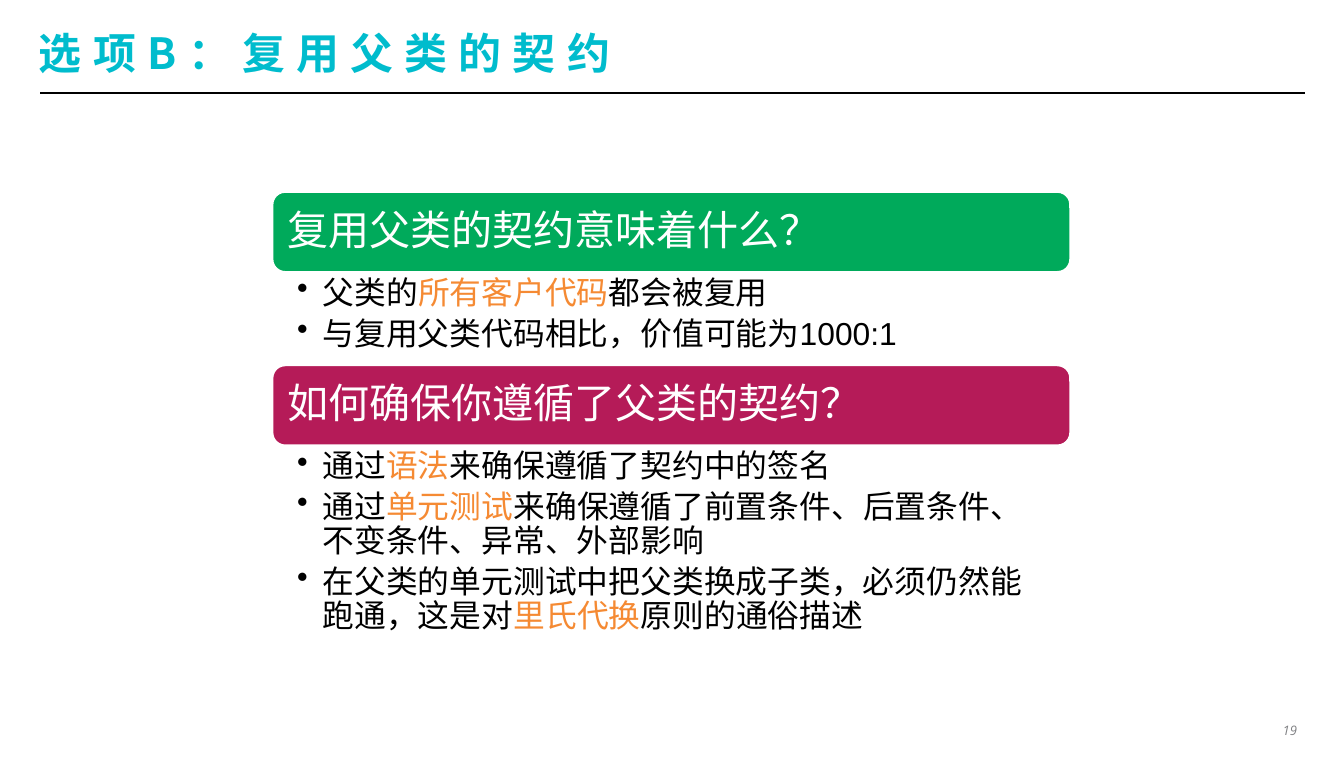
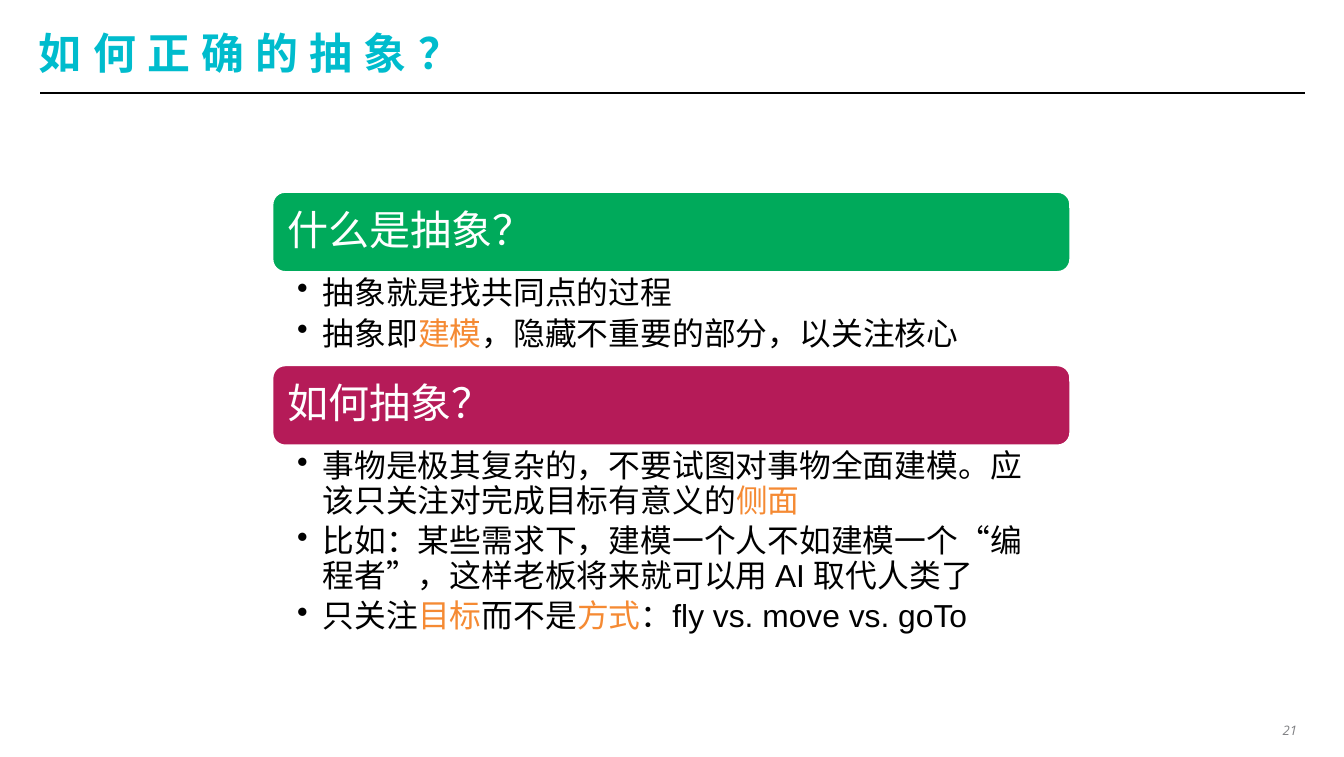
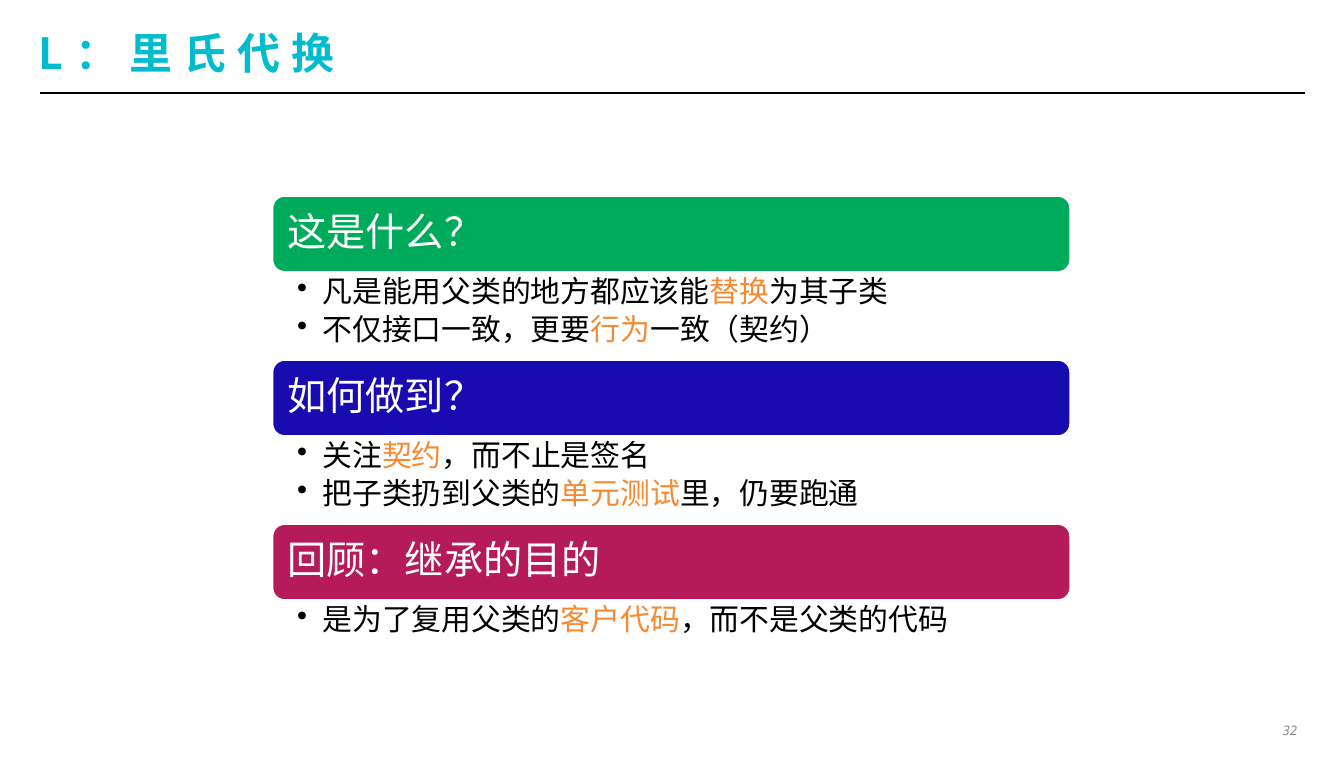
from dataclasses import dataclass

from lxml.etree import SubElement
from pptx import Presentation
from pptx.dml.color import RGBColor
from pptx.enum.shapes import MSO_CONNECTOR, MSO_SHAPE
from pptx.enum.text import MSO_ANCHOR, PP_ALIGN
from pptx.oxml.ns import qn
from pptx.util import Inches, Pt

# Shared look
TITLE_COLOR, TEXT, ACCENT = "00BCCD", "000000", "F58A33"
WHITE, GREY = "FFFFFF", "808184"
GREEN, BLUE, CRIMSON = "00AA5B", "180CB1", "B51B58"
TITLE_FONT, BODY_FONT, NUMBER_FONT = "Noto Sans CJK JP", "Arial", "Open Sans"
COLUMN_LEFT, COLUMN_WIDTH = 2.02, 5.95
LINE_SPACING = 0.9


@dataclass
class Section:
    heading: str
    color: str
    body_height: float
    bullets: list[str]  # *asterisks* enclose accented words


@dataclass
class Style:
    top: float
    band_height: float
    heading_size: int
    bullet_size: int


@dataclass
class Page:
    title: str
    number: int
    style: Style
    sections: list[Section]


TWO_SECTIONS = Style(1.42, 0.61, 22, 17)
THREE_SECTIONS = Style(1.45, 0.58, 21, 16)

PAGES = [
    Page("选项B：复用父类的契约", 19, TWO_SECTIONS, [
        Section("复用父类的契约意味着什么？", GREEN, 0.68, [
            "父类的*所有客户代码*都会被复用",
            "与复用父类代码相比，价值可能为1000:1",
        ]),
        Section("如何确保你遵循了父类的契约？", CRIMSON, 1.57, [
            "通过*语法*来确保遵循了契约中的签名",
            "通过*单元测试*来确保遵循了前置条件、后置条件、不变条件、异常、外部影响",
            "在父类的单元测试中把父类换成子类，必须仍然能跑通，这是对*里氏代换*原则的通俗描述",
        ]),
    ]),
    Page("如何正确的抽象？", 21, TWO_SECTIONS, [
        Section("什么是抽象？", GREEN, 0.68, [
            "抽象就是找共同点的过程",
            "抽象即*建模*，隐藏不重要的部分，以关注核心",
        ]),
        Section("如何抽象？", CRIMSON, 1.57, [
            "事物是极其复杂的，不要试图对事物全面建模。应该只关注对完成目标有意义的*侧面*",
            "比如：某些需求下，建模一个人不如建模一个“编程者”，这样老板将来就可以用 AI 取代人类了",
            "只关注*目标*而不是*方式*：fly vs. move vs. goTo",
        ]),
    ]),
    Page("L：里氏代换", 32, THREE_SECTIONS, [
        Section("这是什么？", GREEN, 0.64, [
            "凡是能用父类的地方都应该能*替换*为其子类",
            "不仅接口一致，更要*行为*一致（契约）",
        ]),
        Section("如何做到？", BLUE, 0.64, [
            "关注*契约*，而不止是签名",
            "把子类扔到父类的*单元测试*里，仍要跑通",
        ]),
        Section("回顾：继承的目的", CRIMSON, 0.38, [
            "是为了复用父类的*客户代码*，而不是父类的代码",
        ]),
    ]),
]


def rgb(value: str) -> RGBColor:
    return RGBColor.from_string(value)


def format_span(span, size: int, color: str, name: str = BODY_FONT) -> None:
    span.font.size = Pt(size)
    span.font.name = name
    span.font.color.rgb = rgb(color)
    span._r.get_or_add_rPr().set("lang", "zh-CN")


def set_frame(frame, left: float, top: float, right: float, bottom: float,
              anchor=MSO_ANCHOR.TOP, wrap: bool = True) -> None:
    frame.margin_left, frame.margin_top = Inches(left), Inches(top)
    frame.margin_right, frame.margin_bottom = Inches(right), Inches(bottom)
    frame.vertical_anchor = anchor
    frame.word_wrap = wrap


def add_title(slide, text: str) -> None:
    title = slide.shapes.title
    title.left, title.top = Inches(0.29), Inches(0.18)
    title.width, title.height = Inches(9.41), Inches(0.42)
    title.text_frame.text = text
    set_frame(title.text_frame, 0, 0, 0, 0, MSO_ANCHOR.MIDDLE)
    para = title.text_frame.paragraphs[0]
    para.alignment = PP_ALIGN.LEFT
    span = para.runs[0]
    format_span(span, 23, TITLE_COLOR, TITLE_FONT)
    span.font.bold = True
    properties = span._r.get_or_add_rPr()
    properties.set("spc", "600")
    SubElement(properties, qn("a:ea")).set("typeface", TITLE_FONT)


def add_title_rule(slide) -> None:
    rule = slide.shapes.add_connector(
        MSO_CONNECTOR.STRAIGHT, Inches(0.3), Inches(0.69), Inches(9.71), Inches(0.69))
    rule.line.color.rgb = rgb(TEXT)
    rule.line.width = Pt(1)
    SubElement(rule._element.spPr, qn("a:effectLst"))


def add_page_number(slide, number: int) -> None:
    box = slide.shapes.add_textbox(Inches(9.5), Inches(5.34), Inches(0.21), Inches(0.17))
    box.text_frame.text = str(number)
    # No left inset, so that two digits fit on one line
    set_frame(box.text_frame, 0, 0.03, 0.06, 0.03, wrap=False)
    para = box.text_frame.paragraphs[0]
    para.alignment = PP_ALIGN.RIGHT
    format_span(para.runs[0], 7, GREY, NUMBER_FONT)
    para.runs[0].font.italic = True


def add_band(slide, section: Section, top: float, style: Style) -> None:
    band = slide.shapes.add_shape(
        MSO_SHAPE.ROUNDED_RECTANGLE, Inches(COLUMN_LEFT), Inches(top),
        Inches(COLUMN_WIDTH), Inches(style.band_height))
    band.shadow.inherit = False
    band.fill.solid()
    band.fill.fore_color.rgb = rgb(section.color)
    band.line.color.rgb = rgb(WHITE)
    band.line.width = Pt(2)
    band.text_frame.text = section.heading
    set_frame(band.text_frame, 0.09, 0.09, 0.09, 0.09, MSO_ANCHOR.MIDDLE)
    para = band.text_frame.paragraphs[0]
    para.alignment = PP_ALIGN.LEFT
    para.line_spacing = LINE_SPACING
    format_span(para.runs[0], style.heading_size, WHITE)


def add_bullet(para, text: str, size: int) -> None:
    para.level = 1
    properties = para._p.get_or_add_pPr()
    properties.set("marL", str(Inches(0.19)))
    properties.set("indent", str(-Inches(0.19)))
    SubElement(properties, qn("a:buChar")).set("char", "•")
    para.line_spacing = LINE_SPACING
    para.space_after = Pt(size * 0.2)
    for index, part in enumerate(text.split("*")):
        if part:
            span = para.add_run()
            span.text = part
            format_span(span, size, ACCENT if index % 2 else TEXT)


def add_bullets(slide, section: Section, top: float, style: Style) -> None:
    box = slide.shapes.add_textbox(
        Inches(COLUMN_LEFT), Inches(top), Inches(COLUMN_WIDTH), Inches(section.body_height))
    frame = box.text_frame
    set_frame(frame, 0.19, 0.03, 0.17, 0.03)
    for index, text in enumerate(section.bullets):
        para = frame.add_paragraph() if index else frame.paragraphs[0]
        add_bullet(para, text, style.bullet_size)


def add_page(deck, page: Page) -> None:
    slide = deck.slides.add_slide(deck.slide_layouts.get_by_name("Title Only"))
    add_title_rule(slide)
    add_title(slide, page.title)
    add_page_number(slide, page.number)
    # Bands and their bullets stack without gaps
    top = page.style.top
    for section in page.sections:
        add_band(slide, section, top, page.style)
        top += page.style.band_height
        add_bullets(slide, section, top, page.style)
        top += section.body_height


def main() -> None:
    deck = Presentation()
    deck.slide_width, deck.slide_height = Inches(10), Inches(5.63)
    for page in PAGES:
        add_page(deck, page)
    deck.save("out.pptx")


if __name__ == "__main__":
    main()
